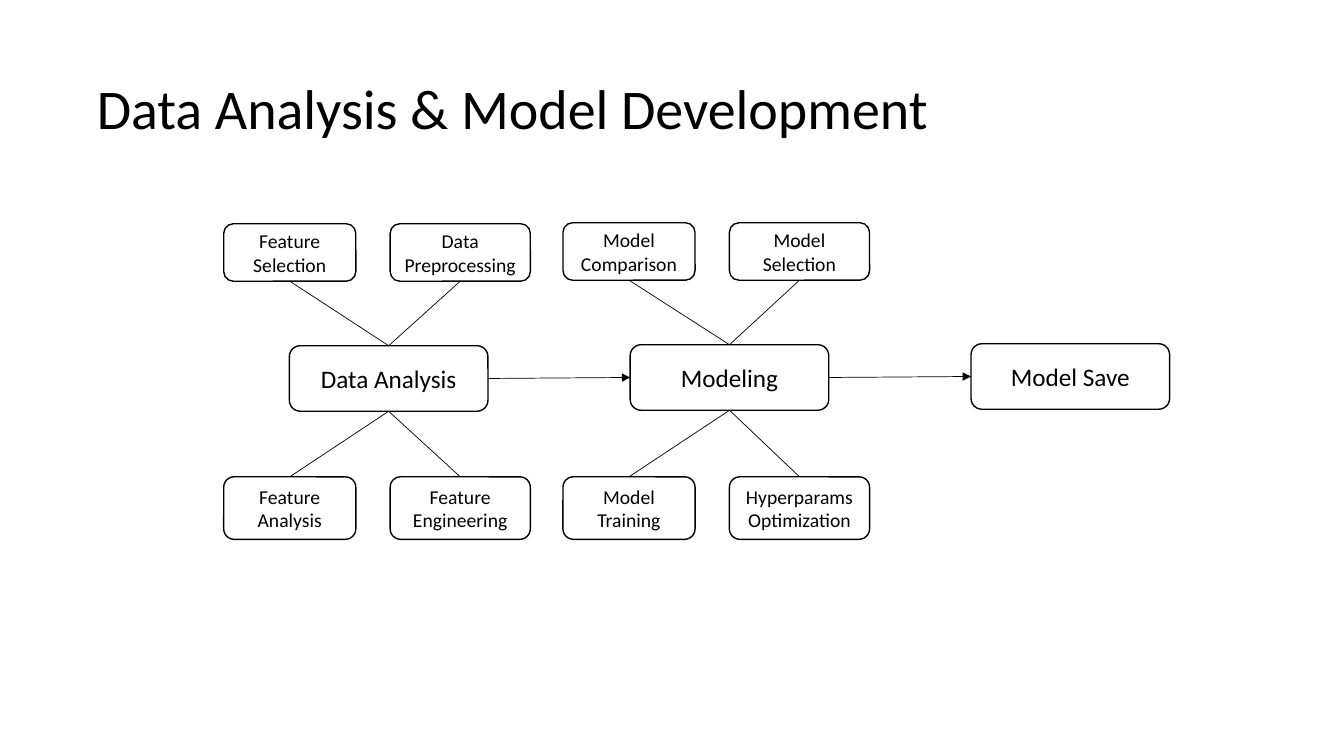
from lxml import etree
from pptx import Presentation
from pptx.dml.color import RGBColor
from pptx.enum.shapes import MSO_CONNECTOR, MSO_SHAPE
from pptx.enum.text import MSO_ANCHOR, PP_ALIGN
from pptx.oxml.ns import qn
from pptx.util import Inches, Pt

WIDTH, HEIGHT = Inches(13.33), Inches(7.5)
BLACK = RGBColor(0, 0, 0)
WHITE = RGBColor(255, 255, 255)
FONT = "Calibri"

# Connection sites of a rounded rectangle
TOP, LEFT, BOTTOM, RIGHT = range(4)

# Places and sizes as percentages of the slide
STAGE_LEFT, STAGE_STEP, STAGE_WIDTH = 21.53, 25.36, 14.78
STAGE_TOP, STAGE_HEIGHT = 45.73, 8.67
STAGE_RISE = 0.13  # each stage sits slightly higher than the one before
TASK_STEP = 25.24
TASK_COLUMNS = [(16.65, 9.83), (29.03, 10.43)]  # left, width
UPPER_ROW = (29.6, 7.6)  # top, height
LOWER_ROW = (63.07, 8.27)

# Stage name, tasks above, tasks below
STAGES = [
    ("Data Analysis",
     ["Feature Selection", "Data Preprocessing"],
     ["Feature Analysis", "Feature Engineering"]),
    ("Modeling",
     ["Model Comparison", "Model Selection"],
     ["Model Training", "Hyperparams\nOptimization"]),
    ("Model Save", [], []),
]


def area(left, top, width, height):
    """Turn percentages of the slide into lengths."""
    return (int(WIDTH * left / 100), int(HEIGHT * top / 100),
            int(WIDTH * width / 100), int(HEIGHT * height / 100))


def write(frame, text, size, align):
    frame.word_wrap = True
    frame.vertical_anchor = MSO_ANCHOR.MIDDLE
    frame.text = text
    for paragraph in frame.paragraphs:
        paragraph.alignment = align
        font = paragraph.runs[0].font
        font.name, font.size = FONT, Pt(size)
        font.color.rgb = BLACK


def add_title(slide, text):
    title = slide.shapes.title
    title.left, title.top, title.width, title.height = area(6.45, 9.07, 92.65, 10.27)
    write(title.text_frame, text, 40, PP_ALIGN.LEFT)


def add_box(slide, text, place, size):
    box = slide.shapes.add_shape(MSO_SHAPE.ROUNDED_RECTANGLE, *area(*place))
    box.shadow.inherit = False
    box.fill.solid()
    box.fill.fore_color.rgb = WHITE
    box.line.color.rgb = BLACK
    box.line.width = Pt(1)
    write(box.text_frame, text, size, PP_ALIGN.CENTER)
    return box


def link(slide, start, start_site, end, end_site, arrow=False):
    line = slide.shapes.add_connector(MSO_CONNECTOR.STRAIGHT, 0, 0, 0, 0)
    line.begin_connect(start, start_site)
    line.end_connect(end, end_site)
    line.line.color.rgb = BLACK
    line.line.width = Pt(0.5)
    if arrow:
        etree.SubElement(line.line._get_or_add_ln(), qn("a:tailEnd"), type="triangle")
    etree.SubElement(line._element.spPr, qn("a:effectLst"))


def add_tasks(slide, stage, index, tasks, row, stage_site, task_site):
    top, height = row
    for text, (left, width) in zip(tasks, TASK_COLUMNS):
        task = add_box(slide, text, (left + index * TASK_STEP, top, width, height), 14)
        link(slide, stage, stage_site, task, task_site)


def main():
    prs = Presentation()
    prs.slide_width, prs.slide_height = WIDTH, HEIGHT
    slide = prs.slides.add_slide(prs.slide_layouts[5])
    add_title(slide, "Data Analysis & Model Development")

    # Stages with their tasks, joined by arrows
    previous = None
    for index, (name, above, below) in enumerate(STAGES):
        rise = index * STAGE_RISE
        stage = add_box(slide, name, (STAGE_LEFT + index * STAGE_STEP, STAGE_TOP - rise,
                                      STAGE_WIDTH, STAGE_HEIGHT), 18)
        upper_row = (UPPER_ROW[0] - rise, UPPER_ROW[1])
        add_tasks(slide, stage, index, above, upper_row, TOP, BOTTOM)
        add_tasks(slide, stage, index, below, LOWER_ROW, BOTTOM, TOP)
        if previous is not None:
            link(slide, previous, RIGHT, stage, LEFT, arrow=True)
        previous = stage

    prs.save("out.pptx")


main()
